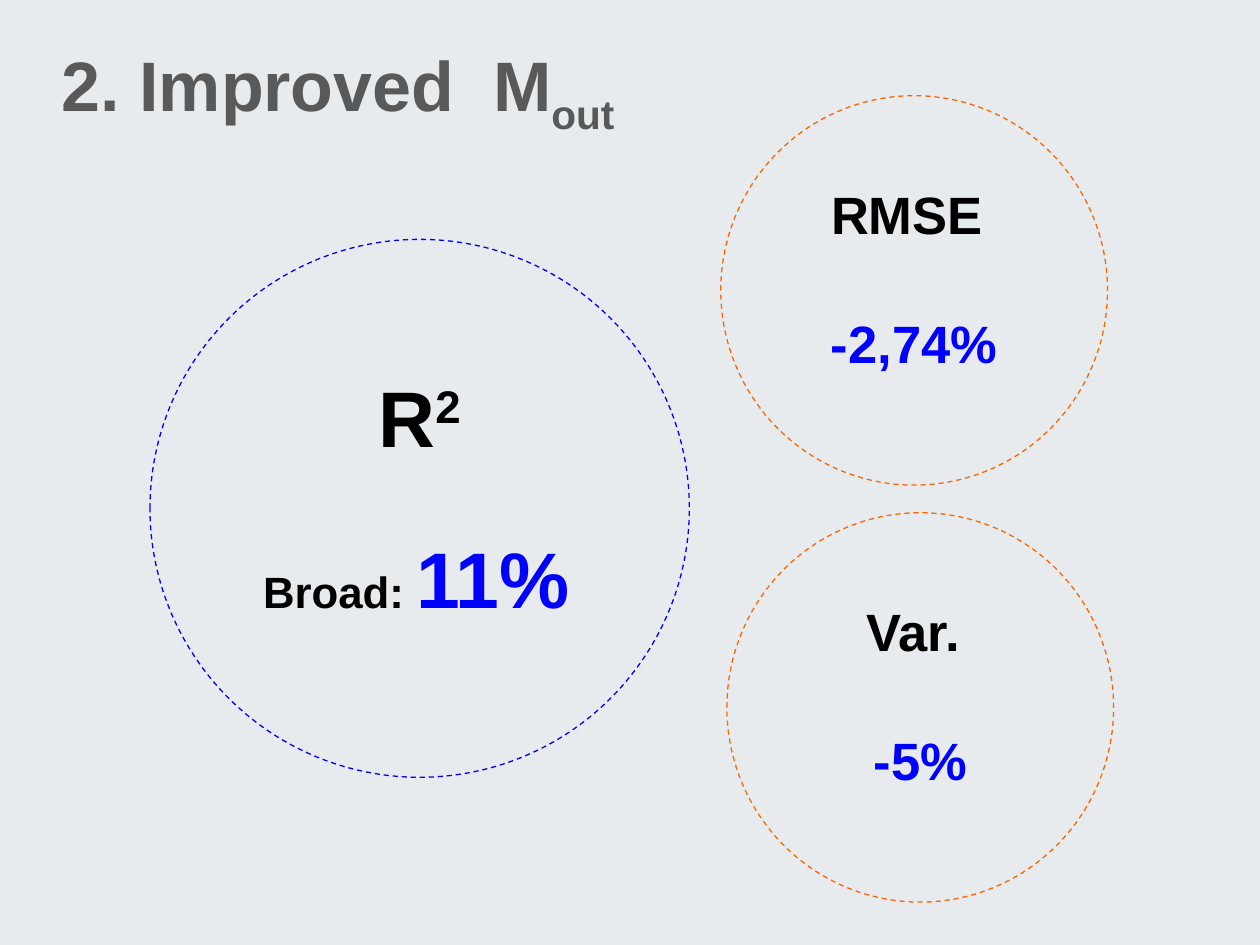
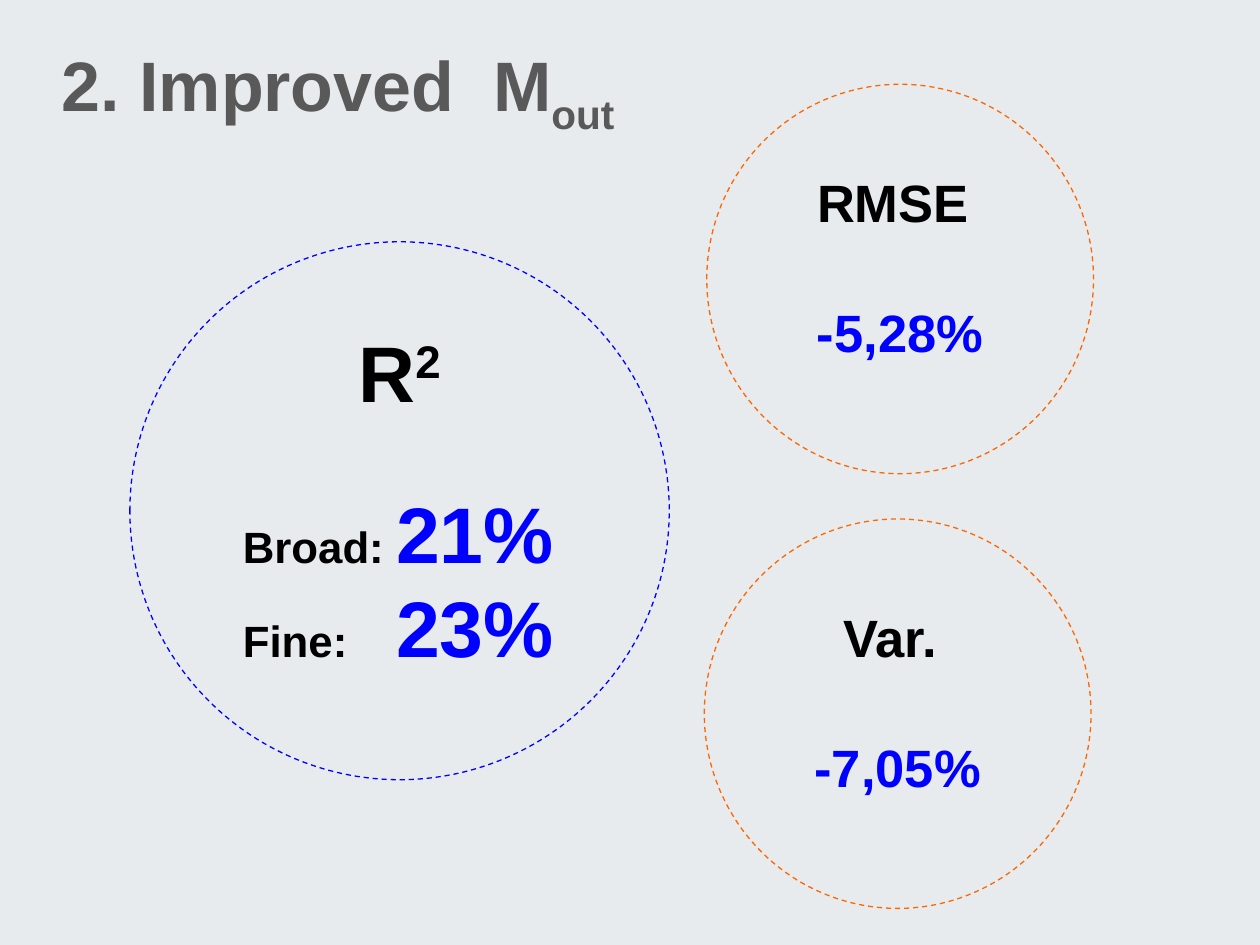
import pptx
import pptx.util
import pptx.dml.color
import pptx.enum.dml
import pptx.enum.shapes
import pptx.enum.text
import pptx.oxml
import pptx.oxml.ns

Pt = pptx.util.Pt
RGBColor = pptx.dml.color.RGBColor
Align = pptx.enum.text.PP_ALIGN
Anchor = pptx.enum.text.MSO_ANCHOR

BACKGROUND = RGBColor(0xE7, 0xEB, 0xEE)
GRAY = RGBColor(0x59, 0x59, 0x59)
BLACK = RGBColor(0, 0, 0)
BLUE = RGBColor(0, 0, 255)
ORANGE = RGBColor(0xFF, 0x66, 0)
FONT = "Arial"

# Circle positions are (left, top) in points.
SLIDES = [
    {"fit": ((85.7, 136.8), [("Broad:", "11%")]),
     "errors": [((411.9, 54.7), "RMSE ", "-2,74%"),
                ((415.4, 293), "Var. ", "-5%")]},
    {"fit": ((74.2, 138.2), [("Broad:", "21%"), ("Fine:", "23%")]),
     "errors": [((403.9, 48.2), "RMSE ", "-5,28%"),
                ((402.5, 296.6), "Var. ", "-7,05%")]},
]

TITLE_BOX = (28.1, 12.2, 596.2, 73.4)
FIT_SIZE = (308.2, 307.4)
ERROR_SIZE = (221, 222.5)
INSET = 7.2
FIT_INSET = 19.5
BOTTOM_SPACE = 14
HEADING_GAP = 38
VALUE_TAB = 87.5

TITLE = {"size": Pt(40), "color": GRAY}
FIT_HEADING = {"size": Pt(45), "color": BLACK}
ROW_LABEL = {"size": Pt(25), "color": BLACK}
ROW_VALUE = {"size": Pt(45), "color": BLUE}
ERROR_HEADING = {"size": Pt(30), "color": BLACK}
ERROR_VALUE = {"size": Pt(30), "color": BLUE}


def add_span(para, text, style, **run_attributes):
    """Add bold text; run_attributes are raw ones such as baseline or spc."""
    span = para.add_run()
    span.text = text
    formats = {"name": FONT, "bold": True, "size": style["size"]}
    for name, value in formats.items():
        setattr(span.font, name, value)
    span.font.color.rgb = style["color"]
    for name, value in run_attributes.items():
        span._r.get_or_add_rPr().set(name, str(value))


def format_frame(frame, anchor, side=INSET, bottom=INSET):
    formats = {"word_wrap": True, "vertical_anchor": anchor,
               "auto_size": pptx.enum.text.MSO_AUTO_SIZE.NONE,
               "margin_left": Pt(side), "margin_right": Pt(side),
               "margin_top": Pt(INSET), "margin_bottom": Pt(bottom)}
    for name, value in formats.items():
        setattr(frame, name, value)


def add_title(page):
    title = page.shapes.title
    for name, value in zip(("left", "top", "width", "height"), TITLE_BOX):
        setattr(title, name, Pt(value))
    format_frame(title.text_frame, Anchor.BOTTOM)
    para = title.text_frame.paragraphs[0]
    para.alignment = Align.LEFT
    add_span(para, "2. Improved", TITLE)
    add_span(para, " ", TITLE, spc=1110)
    add_span(para, "M", TITLE)
    add_span(para, "out", TITLE, baseline=-25000)


def add_circle(page, place, size, color, side=INSET):
    """Add a dashed circle and return its text frame and heading paragraph."""
    circle = page.shapes.add_shape(
        pptx.enum.shapes.MSO_SHAPE.OVAL, *map(Pt, place + size))
    circle.shadow.inherit = False
    circle.fill.background()
    circle.line.color.rgb = color
    circle.line.width = Pt(0.75)
    circle.line.dash_style = pptx.enum.dml.MSO_LINE.DASH
    frame = circle.text_frame
    format_frame(frame, Anchor.MIDDLE, side, INSET + BOTTOM_SPACE)
    heading = frame.paragraphs[0]
    heading.alignment = Align.CENTER
    heading.space_after = Pt(HEADING_GAP)
    return frame, heading


def add_tab_stop(para, position):
    stops = pptx.oxml.parse_xml(
        f'<a:tabLst {pptx.oxml.ns.nsdecls("a")}>'
        f'<a:tab pos="{Pt(position)}" algn="l"/></a:tabLst>')
    para._p.get_or_add_pPr().append(stops)


def add_fit_circle(page, place, rows):
    frame, heading = add_circle(page, place, FIT_SIZE, BLUE, FIT_INSET)
    add_span(heading, "R", FIT_HEADING)
    add_span(heading, "2", FIT_HEADING, baseline=30000)
    for label, value in rows:
        para = frame.add_paragraph()
        para.alignment = Align.LEFT
        add_tab_stop(para, VALUE_TAB)
        add_span(para, label + "\t", ROW_LABEL)
        add_span(para, value, ROW_VALUE)


def add_error_circle(page, place, name, value):
    frame, heading = add_circle(page, place, ERROR_SIZE, ORANGE)
    add_span(heading, name, ERROR_HEADING)
    para = frame.add_paragraph()
    para.alignment = Align.CENTER
    add_span(para, value, ERROR_VALUE)


def main():
    deck = pptx.Presentation()
    deck.slide_width, deck.slide_height = Pt(720), Pt(540)
    fill = deck.slide_master.background.fill
    fill.solid()
    fill.fore_color.rgb = BACKGROUND
    for content in SLIDES:
        page = deck.slides.add_slide(deck.slide_layouts[5])
        add_title(page)
        add_fit_circle(page, *content["fit"])
        for error in content["errors"]:
            add_error_circle(page, *error)
    deck.save("out.pptx")


if __name__ == "__main__":
    main()
